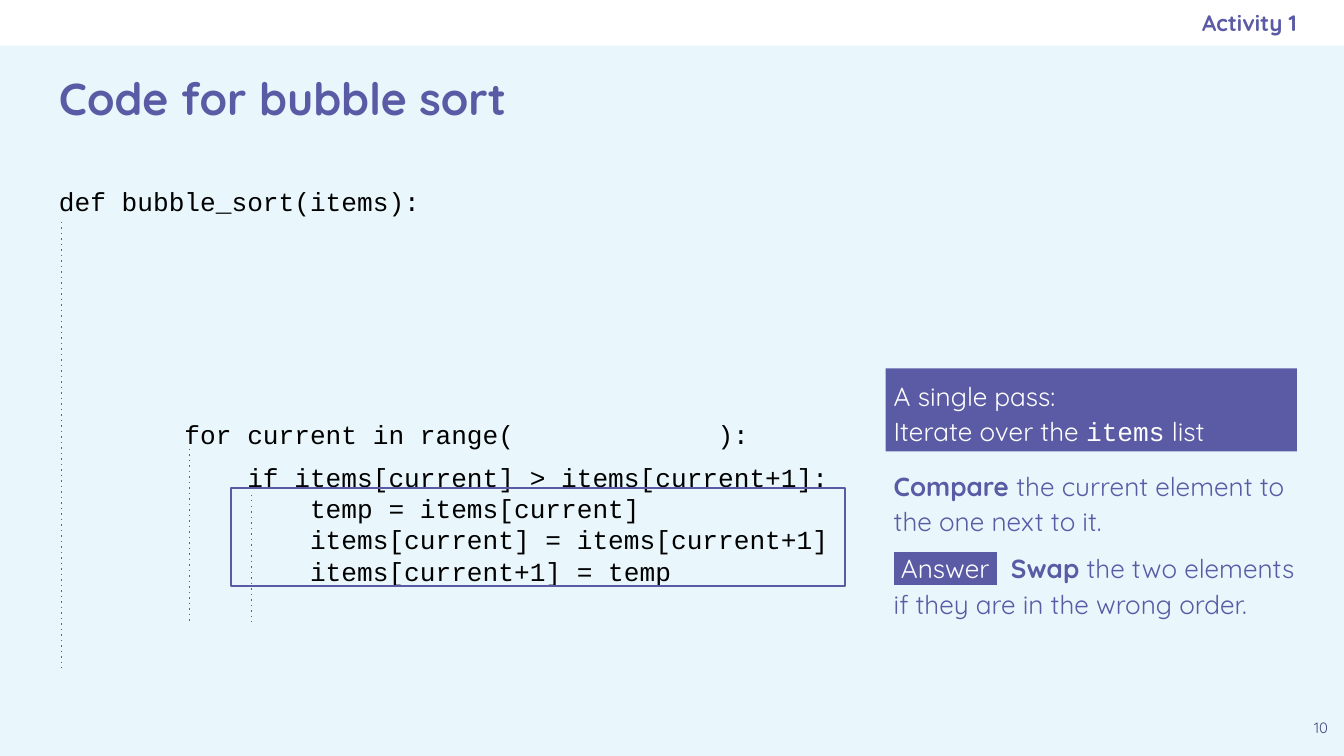
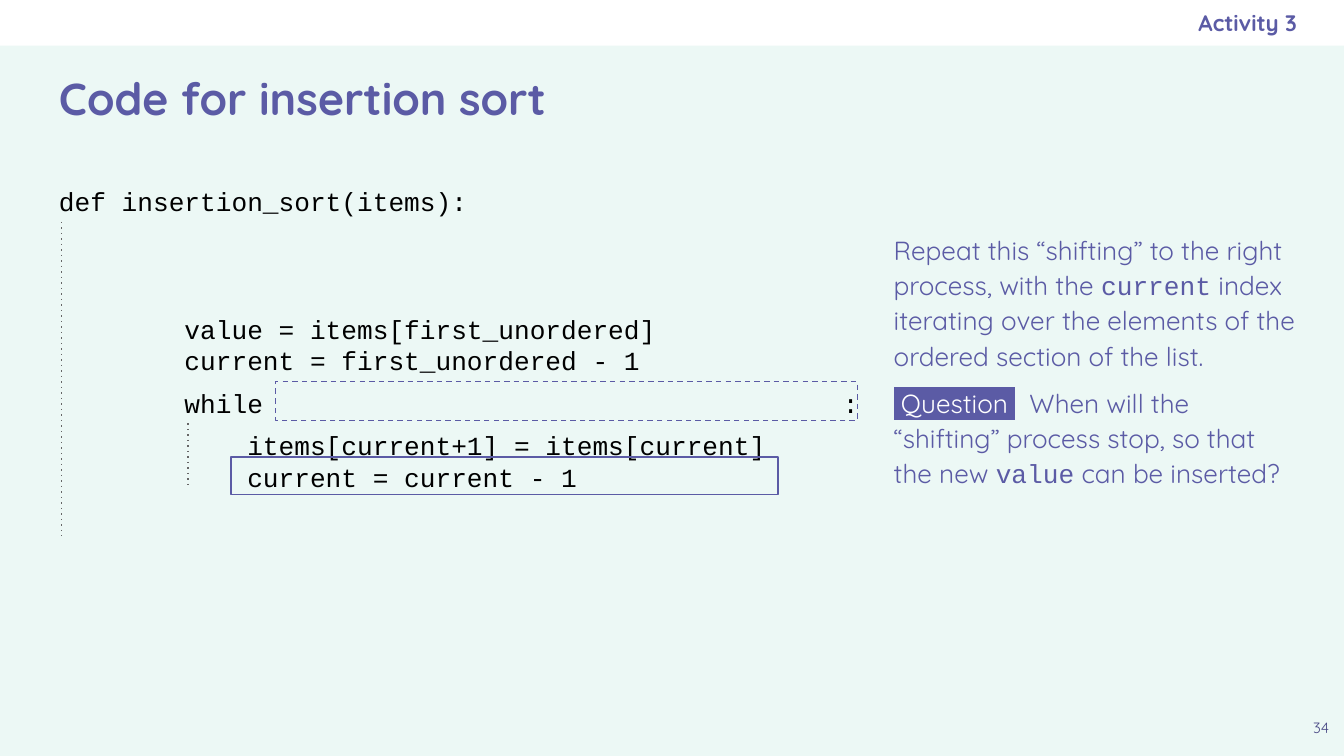
from lxml.etree import SubElement
from pptx import Presentation
from pptx.dml.color import RGBColor
from pptx.enum.dml import MSO_LINE
from pptx.enum.shapes import MSO_CONNECTOR, MSO_SHAPE
from pptx.enum.text import MSO_ANCHOR as ANCHOR, PP_ALIGN as ALIGN
from pptx.oxml.ns import qn
from pptx.util import Pt

PURPLE = RGBColor(0x5B, 0x5B, 0xA5)
DARK_PURPLE = RGBColor(0x49, 0x49, 0x85)
WHITE = RGBColor(0xFF, 0xFF, 0xFF)
BLACK = RGBColor(0x00, 0x00, 0x00)
GREY = RGBColor(0x66, 0x66, 0x66)
PALE_BLUE = RGBColor(0xE9, 0xF7, 0xFC)
PALE_GREEN = RGBColor(0xEC, 0xF8, 0xF5)

SANS, MONO = "Quicksand", "Courier New"
CODE_SIZE = 14
CHAR_WIDTH = 0.6 * CODE_SIZE
BAND_HEIGHT = 24.5
NOTE_LEFT, NOTE_WIDTH = 474.5, 220.3

# Run formats used inside the notes
BOLD = {"bold": True}
CODE = {"font": MONO}
TAG = {"color": WHITE, "highlight": PURPLE}
WIDE = {"spacing": 3.75}


def add_text(slide, box, paragraphs, font=SANS, size=14, color=PURPLE, bold=False,
             align=ALIGN.LEFT, anchor=ANCHOR.TOP, insets=(7.2, 7.2, 7.2, 7.2),
             line_spacing=None, fill=None):
    """Each paragraph is (space before, tab position or None, [(text, run format)])."""
    if fill is None:
        shape = slide.shapes.add_textbox(*map(Pt, box))
    else:
        shape = slide.shapes.add_shape(MSO_SHAPE.RECTANGLE, *map(Pt, box))
        shape.shadow.inherit = False
        shape.fill.solid()
        shape.fill.fore_color.rgb = fill
        shape.line.fill.background()
    frame = shape.text_frame
    frame.word_wrap = True
    frame.vertical_anchor = anchor
    (frame.margin_left, frame.margin_top,
     frame.margin_right, frame.margin_bottom) = map(Pt, insets)
    for index, (space_before, tab, runs) in enumerate(paragraphs):
        paragraph = frame.add_paragraph() if index else frame.paragraphs[0]
        paragraph.alignment = align
        if space_before:
            paragraph.space_before = Pt(space_before)
        if line_spacing:
            paragraph.line_spacing = line_spacing
        if tab:
            tabs = SubElement(paragraph._p.get_or_add_pPr(), qn("a:tabLst"))
            SubElement(tabs, qn("a:tab"), pos=str(Pt(tab)), algn="l")
        for text, style in runs:
            run = paragraph.add_run()
            run.text = text
            run.font.size = Pt(size)
            run.font.bold = style.get("bold", bold)
            run.font.color.rgb = style.get("color", color)
            properties = run._r.get_or_add_rPr()
            if "highlight" in style:
                highlight = SubElement(properties, qn("a:highlight"))
                SubElement(highlight, qn("a:srgbClr"), val=str(style["highlight"]))
            if "spacing" in style:
                properties.set("spc", str(round(style["spacing"] * 100)))
            run.font.name = style.get("font", font)


def style_line(line, color, dash=None):
    line.color.rgb = color
    line.width = Pt(0.75)
    if dash:
        line.dash_style = MSO_LINE.DASH
        line._ln.find(qn("a:prstDash")).set("val", dash)


# Code lines: (space before, column after the gap or None, text)
# Guides: (x, top, bottom); frames: (box, dash); notes: (box, right inset, fill, color, paragraphs)
SLIDES = [
    {
        "background": PALE_BLUE,
        "activity": "Activity 1",
        "title": "Code for bubble sort",
        "number": "10",
        "code": [
            (0, None, "def bubble_sort(items):"),
            (108, 42, "        for current in range(\t):"),
            (6, None, "            if items[current] > items[current+1]:"),
            (0, None, "                temp = items[current]"),
            (0, None, "                items[current] = items[current+1]"),
            (0, None, "                items[current+1] = temp"),
        ],
        "guides": [(33.1, 118.8, 358), (101.5, 240.5, 333.4), (134.6, 265, 333.4)],
        "notes": [
            ((NOTE_LEFT, 197.3, NOTE_WIDTH, 44.6), 4.3, PURPLE, WHITE, [
                (0, None, [("A single pass:", {})]),
                (0, None, [("Iterate over the ", {}), ("items", CODE), (" list", {})]),
            ]),
            ((NOTE_LEFT, 245.5, NOTE_WIDTH, 105.8), 0, None, PURPLE, [
                (0, None, [("Compare ", BOLD),
                           ("the current element to the one next to it.", {})]),
                (6, None, [(" Answer ", TAG), (" ", WIDE), ("Swap", BOLD),
                           (" the two elements if they are in the wrong order.", {})]),
            ]),
        ],
        "frames": [((123.8, 261.4, 329, 52.6), None)],
    },
    {
        "background": PALE_GREEN,
        "activity": "Activity 3",
        "title": "Code for insertion sort",
        "number": "34",
        "code": [
            (0, None, "def insertion_sort(items):"),
            (51.6, None, "        value = items[first_unordered]"),
            (0, None, "        current = first_unordered - 1"),
            (6, 50, "        while\t:"),
            (6, None, "            items[current+1] = items[current]"),
            (0, None, "            current = current - 1"),
        ],
        "guides": [(33.1, 118.8, 287.3), (100.8, 226.8, 260.6)],
        "notes": [
            ((NOTE_LEFT, 118.8, NOTE_WIDTH, 205.2), 0, None, PURPLE, [
                (0, None, [("Repeat this “shifting” to the right process, with the ", {}),
                           ("current", CODE),
                           (" index iterating over the elements of the ordered "
                            "section of the list.", {})]),
                (6, None, [(" Question ", TAG), (" ", WIDE),
                           ("When will the “shifting” process stop, so that the new ", {}),
                           ("value", CODE), (" can be inserted?", {})]),
            ]),
        ],
        "frames": [((147.6, 204.5, 311.8, 20.9), "dash"),
                   ((123.8, 244.8, 293, 20.2), None)],
    },
]

presentation = Presentation()
presentation.slide_width, presentation.slide_height = Pt(720), Pt(405)

for content in SLIDES:
    slide = presentation.slides.add_slide(presentation.slide_layouts[6])
    slide.background.fill.solid()
    slide.background.fill.fore_color.rgb = content["background"]

    # Top band, activity label, title and page number
    band = slide.shapes.add_shape(MSO_SHAPE.RECTANGLE, 0, 0, Pt(720), Pt(BAND_HEIGHT))
    band.shadow.inherit = False
    band.fill.solid()
    band.fill.fore_color.rgb = WHITE
    band.line.fill.background()
    add_text(slide, (414, 0, 280.8, BAND_HEIGHT), [(0, None, [(content["activity"], {})])],
             size=12, bold=True, align=ALIGN.RIGHT, anchor=ANCHOR.MIDDLE,
             insets=(7.2, 7.2, 0, 7.2))
    add_text(slide, (24.5, 25.2, 671, 54.7), [(0, None, [(content["title"], {})])],
             size=24, bold=True, anchor=ANCHOR.MIDDLE)
    add_text(slide, (695.5, 380.2, 24.5, 24.5), [(0, None, [(content["number"], {})])],
             size=8, color=DARK_PURPLE, align=ALIGN.CENTER)

    # Code
    code = [(space, column and column * CHAR_WIDTH, [(text, {})])
            for space, column, text in content["code"]]
    add_text(slide, (24.5, 92.2, 444, 288), code, font=MONO, size=CODE_SIZE,
             color=BLACK)

    # Indentation guides
    for x, top, bottom in content["guides"]:
        guide = slide.shapes.add_connector(MSO_CONNECTOR.STRAIGHT,
                                           Pt(x), Pt(top), Pt(x), Pt(bottom))
        style_line(guide.line, GREY, "dot")
        SubElement(guide._element.spPr, qn("a:effectLst"))

    # Notes beside the code
    for box, right_inset, fill, color, paragraphs in content["notes"]:
        add_text(slide, box, paragraphs, color=color, fill=fill, line_spacing=1.13,
                 insets=(4.3, 4.3, right_inset, 4.3))

    # Frames around code lines
    for box, dash in content["frames"]:
        code_frame = slide.shapes.add_shape(MSO_SHAPE.RECTANGLE, *map(Pt, box))
        code_frame.shadow.inherit = False
        code_frame.fill.background()
        style_line(code_frame.line, PURPLE, dash)

presentation.save("out.pptx")
